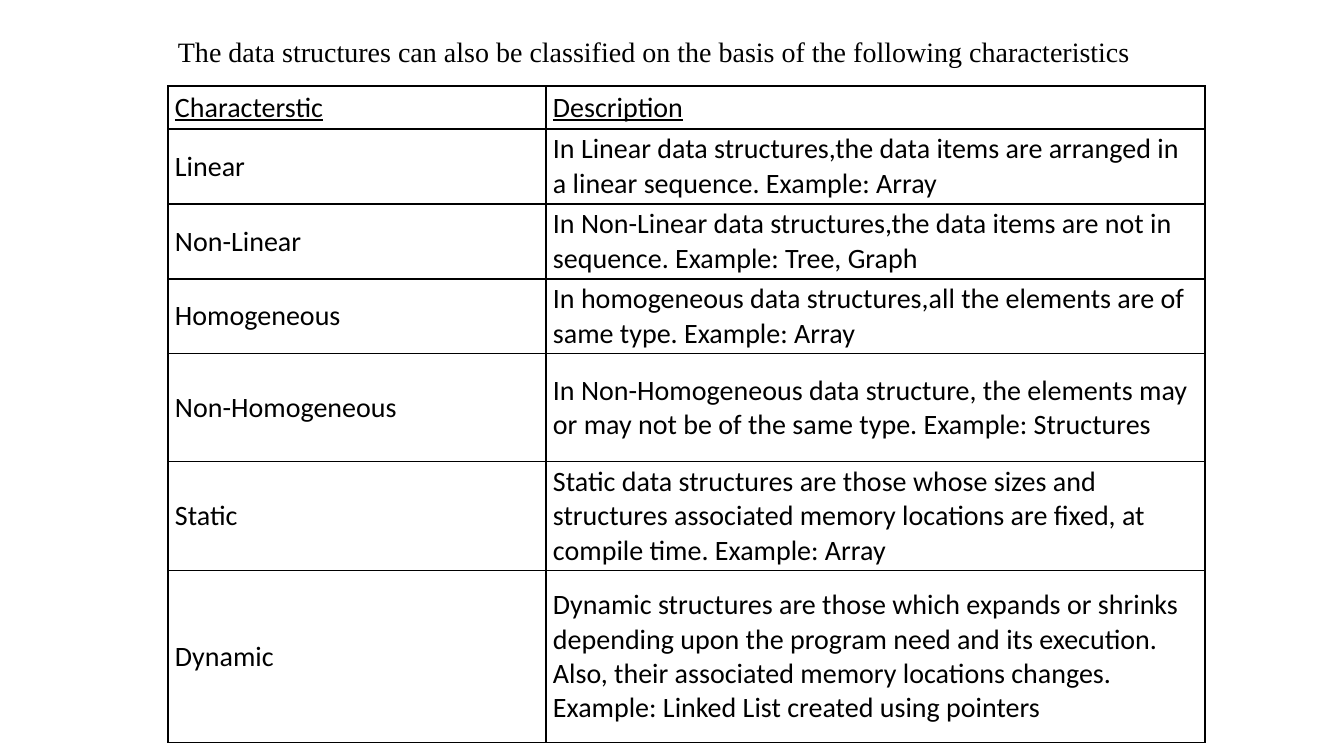
from lxml import etree
from pptx import Presentation
from pptx import util as u
from pptx.dml.color import RGBColor
from pptx.enum import text
from pptx.oxml.ns import qn

theme = {"ink": "000000", "size": 20, "head": "Times New Roman", "body": "Calibri", "rule": 1}


def px(n):
    return u.Emu(round(n * 914400 / 100.8))


def style(para, name):
    para.font.name = name
    para.font.size = u.Pt(theme["size"])
    para.font.color.rgb = RGBColor.from_string(theme["ink"])


deck = Presentation()
deck.slide_width, deck.slide_height = px(1344), px(756)
slide = deck.slides.add_slide(deck.slide_layouts[6])

rows = [
    (43, "Characterstic", "Description"),
    (75, "Linear", "In Linear data structures,the data items are arranged in a linear sequence. Example: Array"),
    (75, "Non-Linear", "In Non-Linear data structures,the data items are not in sequence. Example: Tree, Graph"),
    (75, "Homogeneous", "In homogeneous data structures,all the elements are of same type. Example: Array"),
    (108, "Non-Homogeneous", "In Non-Homogeneous data structure, the elements may or may not be of the same type. "
     "Example: Structures"),
    (108, "Static", "Static data structures are those whose sizes and structures associated memory locations "
     "are fixed, at compile time. Example: Array"),
    (172, "Dynamic", "Dynamic structures are those which expands or shrinks depending upon the program need "
     "and its execution. Also, their associated memory locations changes. "
     "Example: Linked List created using pointers"),
]
cols = [378, 659]
high = sum(row[0] for row in rows)
grid = slide.shapes.add_table(len(rows), len(cols), px(168), px(86), px(sum(cols)), px(high)).table
grid.horz_banding = False
for col, wide in zip(grid.columns, cols):
    col.width = px(wide)

for r, (tall, *words) in enumerate(rows):
    grid.rows[r].height = px(tall)
    for c, word in enumerate(words):
        cell = grid.cell(r, c)
        cell.text = word
        cell.vertical_anchor = text.MSO_ANCHOR.MIDDLE
        cell.margin_left = cell.margin_right = px(7)
        cell.margin_top = cell.margin_bottom = px(3)
        para = cell.text_frame.paragraphs[0]
        style(para, theme["body"])
        para.font.bold = False
        para.font.underline = r == 0
        props = cell._tc.get_or_add_tcPr()
        for side in ("lnL", "lnR", "lnT", "lnB"):
            edge = etree.SubElement(props, qn("a:" + side), w=str(u.Pt(theme["rule"])))
            fill = etree.SubElement(edge, qn("a:solidFill"))
            etree.SubElement(fill, qn("a:srgbClr"), val=theme["ink"])
        cell.fill.background()

title = slide.shapes.add_textbox(px(168), px(30), px(1022), px(44)).text_frame
title.word_wrap = True
title.auto_size = text.MSO_AUTO_SIZE.SHAPE_TO_FIT_TEXT
title.text = "The data structures can also be classified on the basis of the following characteristics"
style(title.paragraphs[0], theme["head"])

deck.save("out.pptx")
